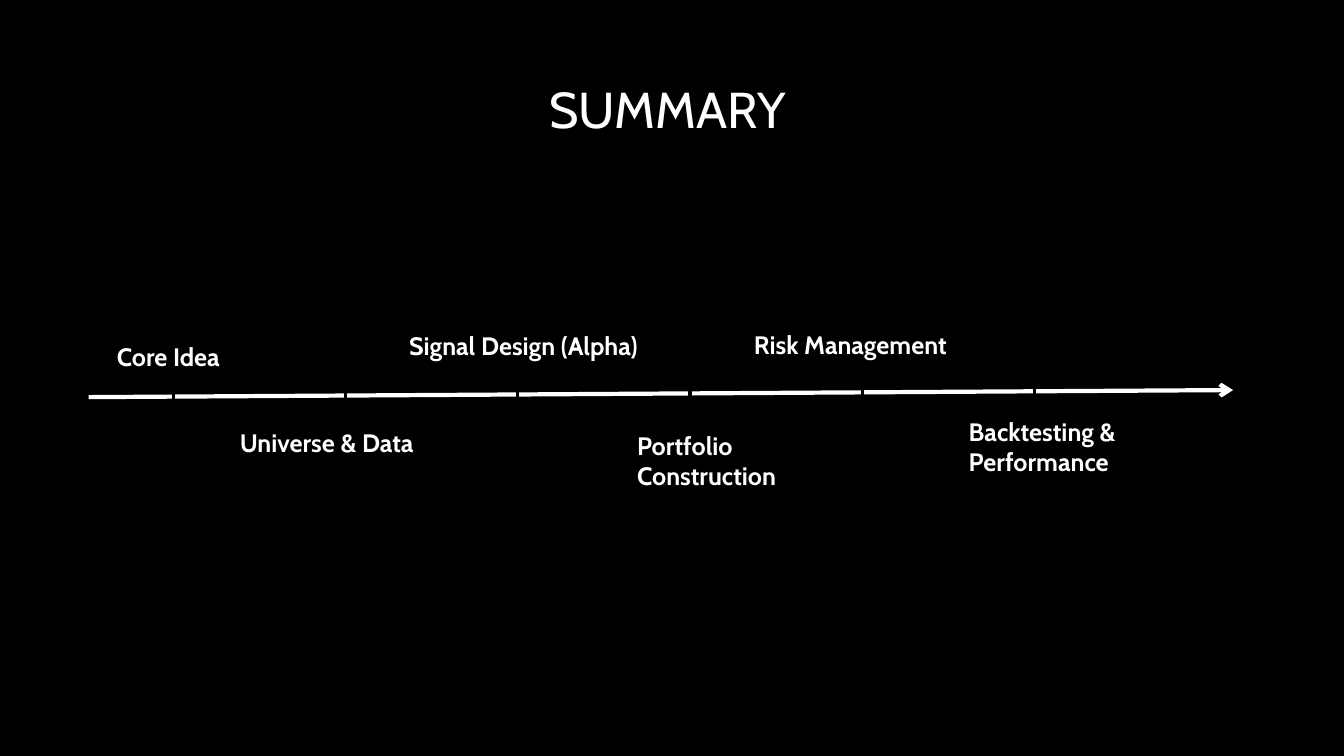
from lxml import etree
from pptx import Presentation
from pptx.dml.color import RGBColor
from pptx.enum.shapes import MSO_CONNECTOR
from pptx.enum.text import MSO_AUTO_SIZE
from pptx.oxml.ns import qn
from pptx.util import Inches, Pt

BLACK = RGBColor(0x00, 0x00, 0x00)
WHITE = RGBColor(0xFF, 0xFF, 0xFF)
FONT = "Cabin"

TICK_COUNT = 6
TICK_START = 1.72
TICK_GAP = 1.708
TICK_TOP, TICK_BOTTOM = 3.78, 4.02

# Left, top, width, height, text, line spacing
STAGES = [
    (1.06, 3.04, 1.92, 0.63, "Core Idea", 2.0),
    (2.28, 4.19, 2.36, 0.40, "Universe & Data", None),
    (3.96, 3.23, 2.78, 0.71, "Signal Design (Alpha)", None),
    (6.22, 4.22, 1.70, 1.01, "Portfolio\nConstruction", None),
    (7.38, 3.22, 2.34, 0.71, "Risk Management", None),
    (9.51, 4.08, 2.26, 1.01, "Backtesting & Performance", None),
]


def add_text(page, text, left, top, width, height, size=18, bold=False,
             line_spacing=None):
    """Add a text box with one paragraph for each line of text."""
    box = page.shapes.add_textbox(
        Inches(left), Inches(top), Inches(width), Inches(height))
    frame = box.text_frame
    frame.word_wrap = True
    frame.auto_size = MSO_AUTO_SIZE.SHAPE_TO_FIT_TEXT
    frame.text = text
    for para in frame.paragraphs:
        para.line_spacing = line_spacing
        for span in para.runs:
            span.font.name = FONT
            span.font.size = Pt(size)
            span.font.bold = bold
            span.font.color.rgb = WHITE


def add_line(page, start, end, color, width, arrow=False):
    connector = page.shapes.add_connector(
        MSO_CONNECTOR.STRAIGHT,
        Inches(start[0]), Inches(start[1]), Inches(end[0]), Inches(end[1]))
    connector.line.color.rgb = color
    connector.line.width = Pt(width)
    properties = connector._element.spPr
    if arrow:
        outline = properties.find(qn("a:ln"))
        etree.SubElement(outline, qn("a:tailEnd"), type="arrow")
    etree.SubElement(properties, qn("a:effectLst"))


def add_timeline(page):
    """Draw the arrow and the black ticks that cut it into segments."""
    add_line(page, (0.88, 3.94), (12.23, 3.87), WHITE, 3, arrow=True)
    for index in range(TICK_COUNT):
        left = TICK_START + index * TICK_GAP
        add_line(page, (left, TICK_TOP), (left, TICK_BOTTOM), BLACK, 2.25)


def main():
    deck = Presentation()
    deck.slide_width = Inches(13.33)
    deck.slide_height = Inches(7.5)
    page = deck.slides.add_slide(deck.slide_layouts[6])
    page.background.fill.solid()
    page.background.fill.fore_color.rgb = BLACK

    add_text(page, "SUMMARY", 5.35, 0.73, 2.63, 0.71, size=36)
    add_timeline(page)
    for left, top, width, height, text, line_spacing in STAGES:
        add_text(page, text, left, top, width, height, bold=True,
                 line_spacing=line_spacing)

    deck.save("out.pptx")


if __name__ == "__main__":
    main()
